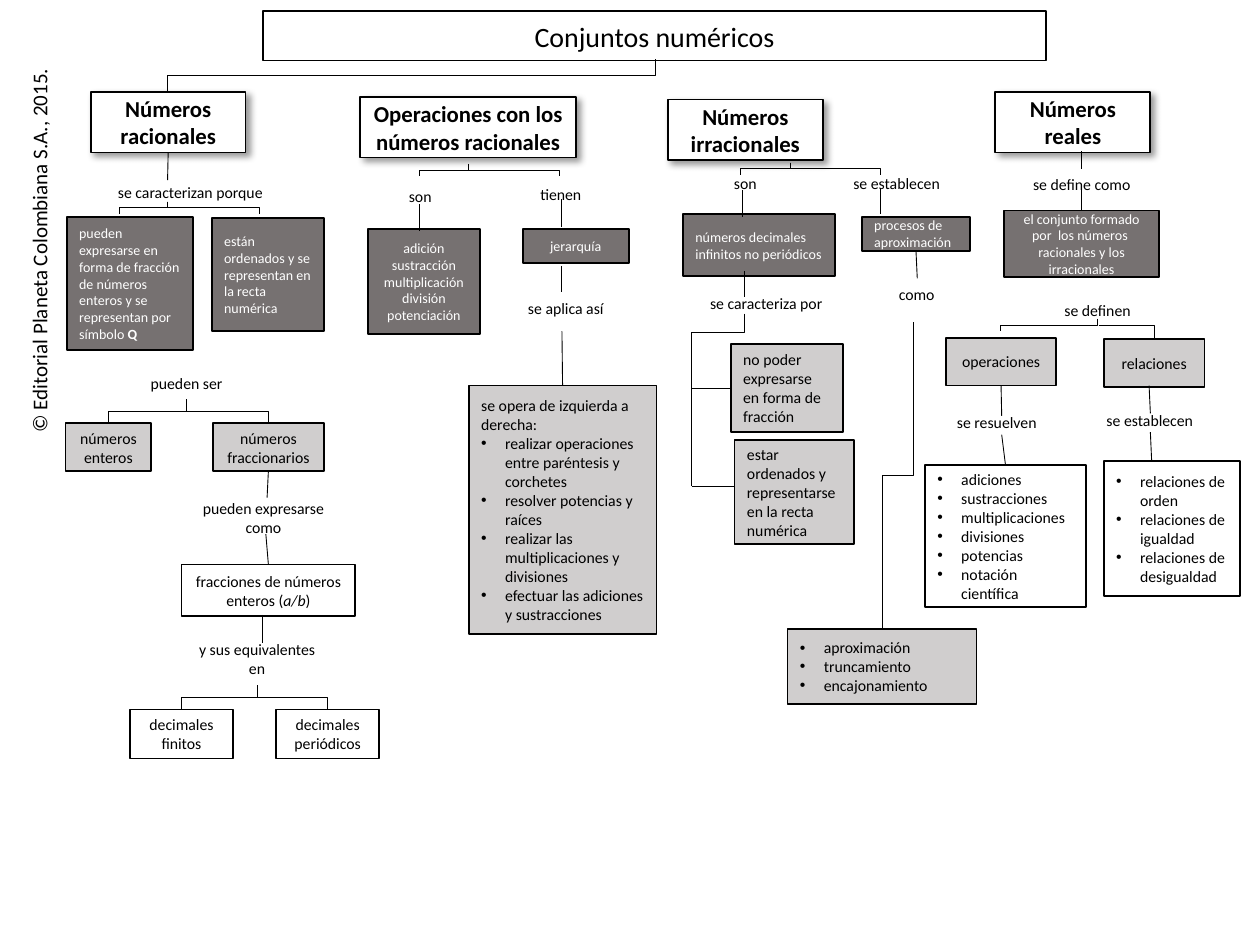
import pptx
import pptx.util
import pptx.dml.color
import pptx.enum.shapes
import pptx.enum.text
import pptx.oxml
import pptx.oxml.ns
from pptx.util import Inches

INK = {"black": "000000", "white": "FFFFFF", "dark": "767171", "grey": "D0CECE"}
ALIGN = pptx.enum.text.PP_ALIGN
KIND = pptx.enum.shapes.MSO_CONNECTOR
NS = pptx.oxml.ns.nsdecls("a")
TAG = pptx.oxml.ns.qn

HEADS = [
    ("rational", "Números racionales", 0.72, 0.73, 1.23),
    ("actions", "Operaciones con los números racionales", 2.86, 0.77, 1.71),
    ("surds", "Números irracionales", 5.3, 0.79, 1.23),
    ("reals", "Números reales", 7.9, 0.73, 1.23),
]
DARK = [
    ("adding", "adición\nsustracción\nmultiplicación\ndivisión\npotenciación", 2.92, 1.82, 0.89, 0.83, "c"),
    ("order", "jerarquía", 4.15, 1.82, 0.84, 0.27, "c"),
    ("union", "el conjunto formado por  los números  racionales y los irracionales", 7.97, 1.67, 1.23, 0.53, "c"),
    ("sorted", "están ordenados y se representan en la recta numérica", 1.68, 1.73, 0.89, 0.9, "l"),
    ("endless", "números decimales\ninfinitos no periódicos", 5.42, 1.7, 1.21, 0.49, "l"),
    ("process", "procesos de aproximación", 6.84, 1.72, 0.86, 0.27, "l"),
]
GREY = [
    ("whole", "números enteros", 0.52, 3.36, 0.68, 0.38, "c"),
    ("parts", "números fraccionarios", 1.69, 3.36, 0.88, 0.38, "c"),
    ("tasks", "operaciones", 7.51, 2.68, 0.87, 0.38, "c"),
    ("links", "relaciones", 8.76, 2.69, 0.8, 0.38, "c"),
    ("steps", "se opera de izquierda a derecha:\n• realizar operaciones entre paréntesis y corchetes\n"
     "• resolver potencias y raíces\n• realizar las multiplicaciones y divisiones\n"
     "• efectuar las adiciones y sustracciones", 3.72, 3.06, 1.49, 1.97, "l"),
    ("unable", "no poder expresarse en forma de fracción", 5.8, 2.73, 0.89, 0.7, "l"),
    ("ranked", "estar ordenados y representarse en la recta numérica", 5.83, 3.49, 0.95, 0.83, "l"),
    ("rounding", "• aproximación\n• truncamiento\n• encajonamiento", 6.25, 4.99, 1.5, 0.6, "l"),
]
WHITE = [
    ("finite", "decimales finitos", 1.03, 5.63, 0.82, 0.39, "c"),
    ("cyclic", "decimales periódicos", 2.19, 5.63, 0.82, 0.39, "c"),
    ("sums", "• adiciones\n• sustracciones\n• multiplicaciones\n• divisiones\n• potencias\n• notación científica",
     7.34, 3.69, 1.28, 1.13, "l"),
    ("types", "• relaciones de orden\n• relaciones de igualdad\n• relaciones de desigualdad",
     8.76, 3.66, 1.08, 1.07, "l"),
]
LABELS = [
    ("se caracterizan porque", 0.78, 1.4, 1.46, 0.25),
    ("pueden ser", 0.87, 2.92, 1.22, 0.25),
    ("pueden expresarse como", 1.48, 3.91, 1.22, 0.4),
    ("y sus equivalentes en", 1.48, 5.03, 1.12, 0.4),
    ("son", 2.87, 1.43, 0.93, 0.25),
    ("tienen", 4.09, 1.42, 0.72, 0.25),
    ("se aplica así", 4, 2.32, 0.98, 0.25),
    ("son", 5.57, 1.33, 0.69, 0.25),
    ("se establecen", 6.64, 1.33, 0.95, 0.25),
    ("se caracteriza por", 5.49, 2.28, 1.18, 0.25),
    ("como", 6.8, 2.21, 0.95, 0.25),
    ("se define como", 7.97, 1.34, 1.23, 0.25),
    ("se definen", 8.1, 2.34, 1.22, 0.25),
    ("se resuelven", 7.3, 3.23, 1.22, 0.25),
    ("se establecen", 8.64, 3.21, 0.97, 0.25),
]
FORKS = [
    (1.33, 1.6, 0.95, 2.06, 1.7),
    (3.72, 1.3, 3.33, 4.44, 1.4),
    (6.27, 1.29, 5.88, 6.99, 1.39),
    (1.48, 3.17, 0.86, 2.13, 3.36),
    (2.04, 5.44, 1.44, 2.6, 5.63),
]
LINES = [
    (8.58, 1.2, 8.58, 1.34), (3.33, 1.62, 3.33, 1.83), (4.46, 1.58, 4.46, 1.8),
    (5.89, 1.51, 5.89, 1.72), (6.99, 1.49, 6.99, 1.7), (8.58, 1.46, 8.58, 1.67),
    (4.46, 2.11, 4.46, 2.32), (5.91, 2.15, 5.91, 2.36), (5.49, 3.86, 5.83, 3.86),
    (7.95, 3.3, 7.95, 3.3), (9.12, 3.06, 9.13, 3.28), (9.13, 3.43, 9.14, 3.65),
    (2.08, 4.88, 2.08, 5.1),
]
LINES = [line for line in LINES if line[:2] != line[2:]]
STARTS = [
    ("rational", 2, 1.33, 1.43), ("process", 2, 7.28, 2.21),
    ("tasks", 2, 7.95, 3.3), ("parts", 2, 2.12, 3.95),
]
ENDS = [
    ("steps", 0, 4.46, 2.63), ("unable", 1, 5.49, 3.08),
    ("sums", 0, 7.95, 3.45), ("ratio", 0, 2.11, 4.24),
]


def color(name):
    return pptx.dml.color.RGBColor.from_string(INK[name])


def write(frame, text, size=9, ink="black", bold=False, align="c", part="", look="bold"):
    for i, row in enumerate(text.split("\n")):
        para = frame.paragraphs[0] if i == 0 else frame.add_paragraph()
        para.alignment = ALIGN.CENTER if align == "c" else ALIGN.LEFT
        if row.startswith("• "):
            row = row[2:]
            props = para._p.get_or_add_pPr()
            props.set("marL", str(Inches(0.19)))
            props.set("indent", str(-Inches(0.19)))
            props.append(pptx.oxml.parse_xml(f'<a:buFont {NS} typeface="Arial"/>'))
            props.append(pptx.oxml.parse_xml(f'<a:buChar {NS} char="•"/>'))
        for bit in row.partition(part) if part else [row]:
            if not bit:
                continue
            run = para.add_run()
            run.text = bit
            font = run.font
            font.name, font.size, font.bold = "Calibri", pptx.util.Pt(size), bold
            font.color.rgb = color(ink)
            if bit == part:
                setattr(font, look, True)


def box(slide, text, x, y, w, h, fill="white", shade=False, **form):
    shape = slide.shapes.add_shape(pptx.enum.shapes.MSO_SHAPE.RECTANGLE,
                                   Inches(x), Inches(y), Inches(w), Inches(h))
    shape.fill.solid()
    shape.fill.fore_color.rgb = color(fill)
    shape.line.color.rgb = color("black")
    shape.line.width = pptx.util.Pt(1)
    shape.shadow.inherit = False
    if shade:
        blur, gap = pptx.util.Pt(4), pptx.util.Pt(3)
        shape._element.spPr.find(TAG("a:effectLst")).append(pptx.oxml.parse_xml(
            f'<a:outerShdw {NS} blurRad="{blur}" dist="{gap}" dir="2700000" algn="tl" rotWithShape="0">'
            f'<a:srgbClr val="{INK["black"]}"><a:alpha val="40000"/></a:srgbClr></a:outerShdw>'))
    shape.text_frame.word_wrap = True
    shape.text_frame.vertical_anchor = pptx.enum.text.MSO_ANCHOR.MIDDLE
    write(shape.text_frame, text, **form)
    return shape


def label(slide, text, x, y, w, h, wrap=True, **form):
    shape = slide.shapes.add_textbox(Inches(x), Inches(y), Inches(w), Inches(h))
    shape.text_frame.word_wrap = wrap
    shape.text_frame.auto_size = pptx.enum.text.MSO_AUTO_SIZE.SHAPE_TO_FIT_TEXT
    write(shape.text_frame, text, **form)
    return shape


def wire(slide, x1, y1, x2, y2, kind=KIND.STRAIGHT):
    line = slide.shapes.add_connector(kind, Inches(x1), Inches(y1), Inches(x2), Inches(y2))
    line.line.color.rgb = color("black")
    line.line.width = pptx.util.Pt(0.5)
    line._element.spPr.append(pptx.oxml.parse_xml(f"<a:effectLst {NS}/>"))
    return line


def elbow(slide, x1, y1, x2, y2, bend=0.5):
    mid, level = (x1 + x2) / 2, (y1 + y2) / 2
    across, down = (x2 - x1) / 2, (y2 - y1) / 2
    line = wire(slide, mid - down, level + across, mid + down, level - across, KIND.ELBOW)
    line.rotation = 90
    geom = line._element.spPr.find(TAG("a:prstGeom"))
    geom.get_or_add_avLst().append(pptx.oxml.parse_xml(
        f'<a:gd {NS} name="adj1" fmla="val {round(bend * 100000)}"/>'))


def corner(slide, x1, y1, x2, y2):
    line = wire(slide, x1, y1, x2, y2, KIND.ELBOW)
    line._element.spPr.find(TAG("a:prstGeom")).set("prst", "bentConnector2")


def fork(slide, x, top, left, right, base):
    for end in (left, right):
        elbow(slide, x, top, end, base)


def main():
    deck = pptx.Presentation()
    deck.slide_width, deck.slide_height = Inches(10), Inches(7.5)
    slide = deck.slides.add_slide(deck.slide_layouts[6])
    credit = label(slide, "© Editorial Planeta Colombiana S.A., 2015.", -1.25, 1.82, 3.12, 0.3,
                   wrap=False, size=12, align="l")
    credit.rotation = 270
    box(slide, "Conjuntos numéricos", 2.09, 0.09, 6.21, 0.39, size=16)

    nodes = {}
    for name, text, x, y, w in HEADS:
        nodes[name] = box(slide, text, x, y, w, 0.48, shade=True, size=13, bold=True)
    for rows, fill, ink, size in ((DARK, "dark", "white", 8), (GREY, "grey", "black", 9),
                                  (WHITE, "white", "black", 9)):
        for name, text, x, y, w, h, align in rows:
            nodes[name] = box(slide, text, x, y, w, h, fill=fill, ink=ink, size=size, align=align)
    box(slide, "pueden expresarse en forma de fracción de números enteros y se representan por símbolo Q",
        0.53, 1.72, 1, 1.06, fill="dark", ink="white", size=8, align="l", part="Q")
    nodes["ratio"] = box(slide, "fracciones de números enteros (a/b)", 1.44, 4.48, 1.38, 0.41,
                         part="a/b", look="italic")
    for row in LABELS:
        label(slide, *row)

    elbow(slide, 5.2, 0.47, 1.33, 0.73)
    elbow(slide, 5.91, 2.49, 5.49, 3.86, bend=0.11)
    elbow(slide, 7.25, 2.56, 7, 4.99)
    elbow(slide, 8.71, 2.53, 7.94, 2.63)
    corner(slide, 8.72, 2.58, 9.16, 2.69)
    for row in FORKS:
        fork(slide, *row)
    for row in LINES:
        wire(slide, *row)
    for name, side, x, y in STARTS:
        wire(slide, x, y, x, y).begin_connect(nodes[name], side)
    for name, side, x, y in ENDS:
        wire(slide, x, y, x, y).end_connect(nodes[name], side)
    deck.save("out.pptx")


if __name__ == "__main__":
    main()
